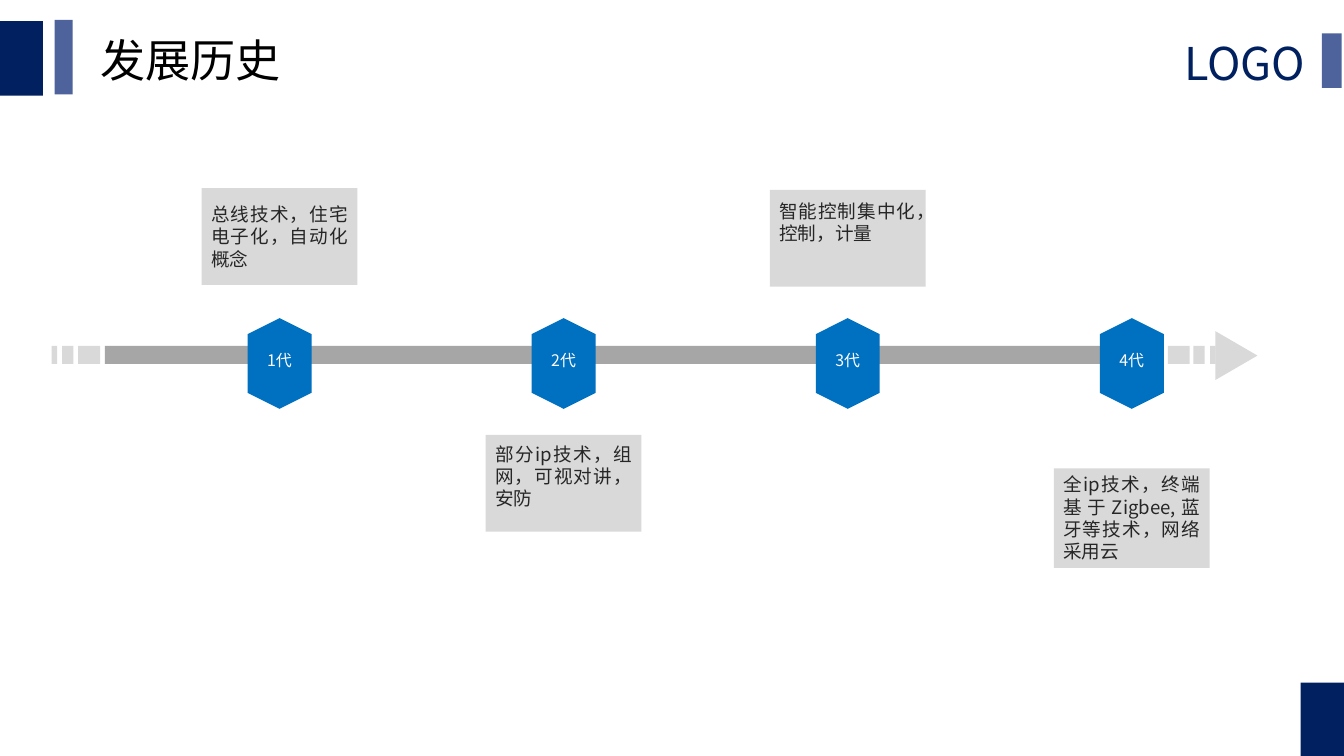
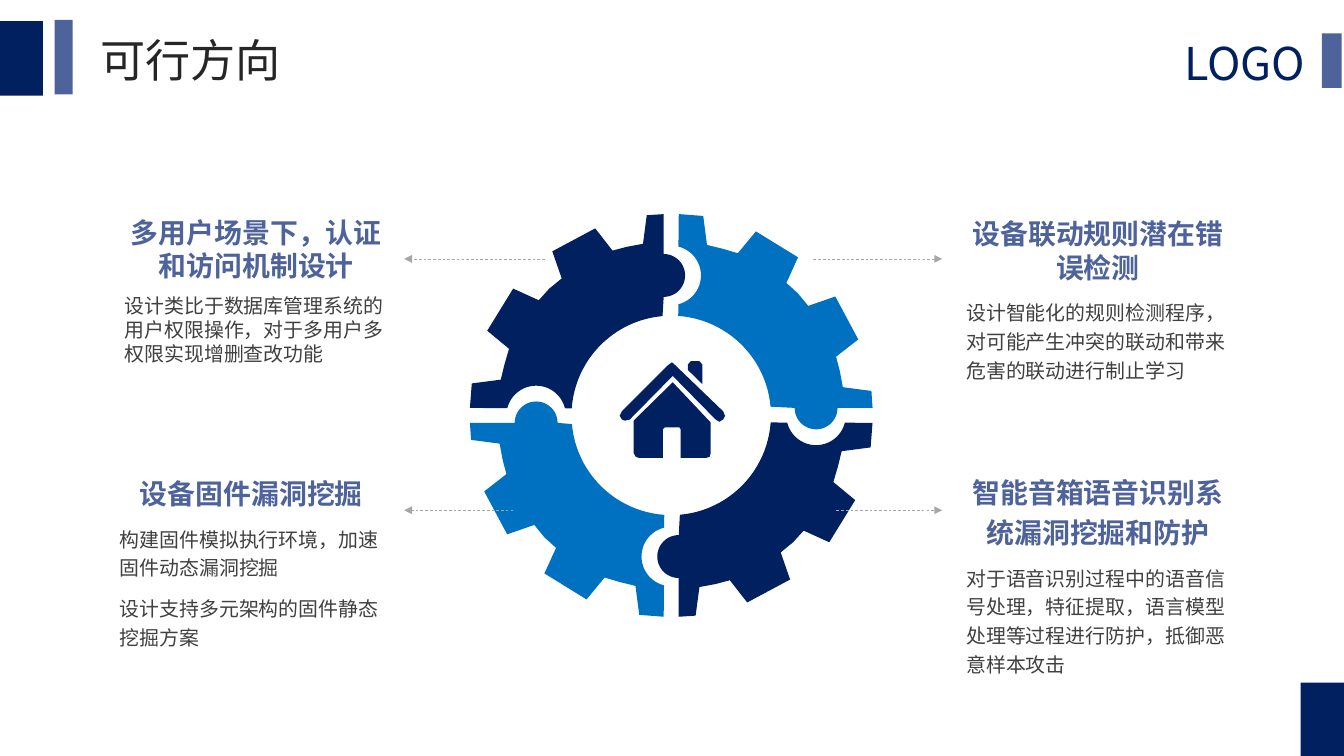
from dataclasses import dataclass
from math import cos, radians, sin

from lxml import etree
from pptx import Presentation
from pptx.dml.color import RGBColor
from pptx.enum.dml import MSO_LINE
from pptx.enum.shapes import MSO_CONNECTOR, MSO_SHAPE
from pptx.enum.text import MSO_ANCHOR, PP_ALIGN
from pptx.oxml.ns import qn
from pptx.util import Cm, Pt

RECTANGLE = MSO_SHAPE.RECTANGLE
HEXAGON = MSO_SHAPE.HEXAGON
TRIANGLE = MSO_SHAPE.ISOSCELES_TRIANGLE
STRAIGHT = MSO_CONNECTOR.STRAIGHT
DASH = MSO_LINE.DASH
TOP = MSO_ANCHOR.TOP
LEFT, CENTER, JUSTIFY = PP_ALIGN.LEFT, PP_ALIGN.CENTER, PP_ALIGN.JUSTIFY

FONT = "Noto Sans CJK SC"
NAVY, SLATE, BLUE = "002060", "4E639C", "0070C0"
PALE, GREY = "D9D9D9", "A6A6A6"
INK, BODY, WHITE, BLACK = "262626", "404040", "FFFFFF", "000000"

Point = tuple[float, float]


@dataclass
class Para:
    text: str
    size: float
    color: str
    align: PP_ALIGN = LEFT
    bold: bool = False
    spacing: float = 1.0
    before: float = 0
    after: float = 0


@dataclass
class Generation:
    label: str
    note: str
    top: float
    height: float
    inset: float


@dataclass
class Direction:
    left: float
    top: float
    heading: str
    details: list[str]
    heading_spacing: float = 1.2
    detail_spacing: float = 1.2


@dataclass
class Pointer:
    inner: float
    outer: float
    y: float


# Shared drawing functions
def rgb(color: str) -> RGBColor:
    return RGBColor.from_string(color)


def paint(shape, color: str) -> None:
    shape.shadow.inherit = False
    shape.fill.solid()
    shape.fill.fore_color.rgb = rgb(color)
    shape.line.fill.background()


def add_block(slide, left: float, top: float, width: float, height: float,
              color: str, kind=RECTANGLE, turn: float = 0):
    block = slide.shapes.add_shape(kind, Cm(left), Cm(top), Cm(width), Cm(height))
    paint(block, color)
    block.rotation = turn
    return block


def write(shape, paras: list[Para], side: float, top: float) -> None:
    frame = shape.text_frame
    frame.word_wrap = True
    frame.vertical_anchor = TOP
    frame.margin_left = frame.margin_right = Cm(side)
    frame.margin_top = Cm(top)
    frame.margin_bottom = Cm(0)
    for index, para in enumerate(paras):
        paragraph = frame.add_paragraph() if index else frame.paragraphs[0]
        paragraph.alignment = para.align
        paragraph.line_spacing = para.spacing
        paragraph.space_before = Pt(para.before if index else 0)
        paragraph.space_after = Pt(para.after)
        run = paragraph.add_run()
        run.text = para.text
        run.font.size = Pt(para.size)
        run.font.bold = para.bold
        run.font.name = FONT
        run.font.color.rgb = rgb(para.color)
        east_asian = etree.SubElement(run.font._element, qn("a:ea"))
        east_asian.set("typeface", FONT)


def add_text(slide, left: float, top: float, width: float, height: float,
             paras: list[Para], side: float = 0.28, inset: float = 0.13) -> None:
    box = slide.shapes.add_textbox(Cm(left), Cm(top), Cm(width), Cm(height))
    write(box, paras, side, inset)


def add_outline(slide, center: Point, contours: list[list[Point]], color: str) -> None:
    def place(point: Point) -> tuple[int, int]:
        return Cm(center[0] + point[0]), Cm(center[1] + point[1])

    builder = slide.shapes.build_freeform(*place(contours[0][0]), scale=1.0)
    for index, contour in enumerate(contours):
        if index:
            builder.move_to(*place(contour[0]))
        builder.add_line_segments([place(point) for point in contour[1:]], close=True)
    paint(builder.convert_to_shape(), color)


def add_pointer(slide, pointer: Pointer) -> None:
    line = slide.shapes.add_connector(STRAIGHT, Cm(pointer.inner), Cm(pointer.y),
                                      Cm(pointer.outer), Cm(pointer.y))
    line.line.color.rgb = rgb(GREY)
    line.line.width = Pt(0.5)
    line.line.dash_style = DASH
    arrowhead = etree.SubElement(line.line._get_or_add_ln(), qn("a:tailEnd"))
    arrowhead.set("type", "triangle")
    etree.SubElement(line._element.spPr, qn("a:effectLst"))


def start_slide(deck, title: str, title_color: str):
    slide = deck.slides.add_slide(deck.slide_layouts[6])
    add_block(slide, 0, 0.56, 1.14, 1.98, NAVY)
    add_block(slide, 34.57, 18.14, 1.15, 1.95, NAVY)
    add_block(slide, 1.45, 0.53, 0.48, 1.98, SLATE)
    add_text(slide, 31.19, 0.81, 4.53, 1.7, [Para("LOGO", 34, NAVY)])
    add_block(slide, 35.13, 0.89, 0.53, 1.45, SLATE)
    add_text(slide, 2.39, 0.74, 16.69, 1.73, [Para(title, 34, title_color)])
    return slide


# Timeline slide
AXIS_TOP, AXIS_HEIGHT = 9.19, 0.48
AXIS_PARTS = [(1.37, 0.15, PALE), (1.65, 0.3, PALE), (2.08, 0.58, PALE),
              (2.79, 28.14, GREY),
              (31.04, 0.58, PALE), (31.72, 0.3, PALE), (32.16, 0.15, PALE)]
FIRST_X, PITCH, HEXAGON_Y = 7.43, 7.55, 9.66
HEX_LONG, HEX_SHORT, NOTE_WIDTH = 2.41, 1.7, 4.14
GENERATIONS = [
    Generation("1代", "总线技术，住宅电子化，自动化概念", 5.0, 2.57, 0.39),
    Generation("2代", "部分ip技术，组网，可视对讲，安防", 11.56, 2.57, 0.2),
    Generation("3代", "智能控制集中化，控制，计量", 5.05, 2.57, 0.26),
    Generation("4代", "全ip技术，终端基于Zigbee,蓝牙等技术，网络采用云", 12.45, 2.64, 0.13),
]


def build_history(deck) -> None:
    slide = start_slide(deck, "发展历史", BLACK)
    for left, width, color in AXIS_PARTS:
        add_block(slide, left, AXIS_TOP, width, AXIS_HEIGHT, color)
    add_block(slide, 32.21, 8.89, 1.3, 1.12, PALE, TRIANGLE, 90)
    for index, generation in enumerate(GENERATIONS):
        x = FIRST_X + index * PITCH
        note = add_block(slide, x - NOTE_WIDTH / 2, generation.top,
                         NOTE_WIDTH, generation.height, PALE)
        write(note, [Para(generation.note, 14, INK, JUSTIFY)], 0.25, generation.inset)
        add_block(slide, x - HEX_LONG / 2, HEXAGON_Y - HEX_SHORT / 2,
                  HEX_LONG, HEX_SHORT, BLUE, HEXAGON, 90)
        add_text(slide, x - HEX_SHORT / 2, AXIS_TOP, HEX_SHORT, 0.76,
                 [Para(generation.label, 12, WHITE, CENTER)], 0.25)


# Gear slide: outlines are measured from the gear centre
GEAR_CENTER = (17.84, 11.04)
HUB_RADIUS, KNOB_RADIUS, NOTCH_RADIUS = 2.65, 0.57, 0.79
RIM, GAP = 5.35, 0.2
GEAR_COLORS = [NAVY, BLUE, NAVY, BLUE]
JOINTS = [3.72, 3.85, 3.75, 3.59]
TEETH = [(-0.65, -5.32), (-0.75, -4.56), (-1.18, -4.48), (-1.56, -4.38),
         (-2.02, -4.97), (-3.16, -4.36), (-2.91, -3.64), (-3.24, -3.37),
         (-3.52, -3.06), (-4.2, -3.37), (-4.89, -2.25), (-4.31, -1.77),
         (-4.43, -1.36), (-4.53, -0.95), (-5.3, -0.85)]
CHIMNEY = [(0.44, -1.35), (0.52, -1.44), (0.75, -1.44), (0.83, -1.35),
           (0.83, -0.83), (0.44, -1.21)]
ROOF = [(1.38, -0.11), (0.11, -1.33), (0.02, -1.41), (-0.09, -1.33),
        (-1.31, -0.11), (-1.37, 0.01), (-1.31, 0.11), (-1.23, 0.14),
        (-1.1, 0.11), (0.04, -1.05), (1.18, 0.11), (1.28, 0.17),
        (1.38, 0.11), (1.43, 0.01)]
WALLS = [(-1, 0.14), (-1, 1), (-0.94, 1.1), (-0.85, 1.13), (-0.22, 1.13),
         (-0.22, 0.37), (-0.17, 0.32), (0.22, 0.32), (0.25, 0.37), (0.25, 1.13),
         (0.93, 1.13), (1.02, 1.1), (1.05, 1), (1.05, 0.19), (0.04, -0.88)]
POINTERS = [Pointer(14.48, 10.74, 6.88), Pointer(13.64, 10.74, 13.56),
            Pointer(21.62, 25.04, 6.88), Pointer(22.23, 25.04, 13.56)]
DIRECTIONS = [
    Direction(2.95, 5.54, "多用户场景下，认证和访问机制设计",
              ["设计类比于数据库管理系统的用户权限操作，对于多用户多权限实现增删查改功能"],
              1.0, 1.0),
    Direction(2.82, 12.32, "设备固件漏洞挖掘",
              ["构建固件模拟执行环境，加速固件动态漏洞挖掘",
               "设计支持多元架构的固件静态挖掘方案"]),
    Direction(25.32, 5.59, "设备联动规则潜在错误检测",
              ["设计智能化的规则检测程序，对可能产生冲突的联动和带来危害的联动进行制止学习"],
              1.0),
    Direction(25.32, 12.29, "智能音箱语音识别系统漏洞挖掘和防护",
              ["对于语音识别过程中的语音信号处理，特征提取，语言模型处理等过程进行防护，抵御恶意样本攻击"]),
]


def arc(x: float, y: float, radius: float, start: float, end: float) -> list[Point]:
    steps = 24
    angles = [radians(start + (end - start) * i / steps) for i in range(steps + 1)]
    return [(x + radius * cos(a), y + radius * sin(a)) for a in angles]


def gear_quarter(knob: float, notch: float, turns: int) -> list[Point]:
    points = [(-RIM, -GAP), *arc(-notch, 0, NOTCH_RADIUS, 194, 346),
              *arc(0, 0, HUB_RADIUS, 184, 265),
              *arc(-GAP, -knob, KNOB_RADIUS, 90, -90),
              (-GAP, -RIM), *TEETH]
    for _ in range(turns):
        points = [(-y, x) for x, y in points]
    return points


def build_directions(deck) -> None:
    slide = start_slide(deck, "可行方向", INK)
    for turns, color in enumerate(GEAR_COLORS):
        quarter = gear_quarter(JOINTS[turns], JOINTS[turns - 1], turns)
        add_outline(slide, GEAR_CENTER, [quarter], color)
    for pointer in POINTERS:
        add_pointer(slide, pointer)
    add_outline(slide, GEAR_CENTER, [CHIMNEY, ROOF, WALLS], NAVY)
    for direction in DIRECTIONS:
        paras = [Para(direction.heading, 21, SLATE, CENTER, True,
                      direction.heading_spacing, after=6)]
        paras += [Para(detail, 15, BODY, spacing=direction.detail_spacing,
                       before=3, after=6) for detail in direction.details]
        add_text(slide, direction.left, direction.top, 7.72, 4.78, paras, 0.36, 0.18)


def main() -> None:
    deck = Presentation()
    deck.slide_width, deck.slide_height = Cm(35.72), Cm(20.09)
    build_history(deck)
    build_directions(deck)
    deck.save("out.pptx")


if __name__ == "__main__":
    main()
